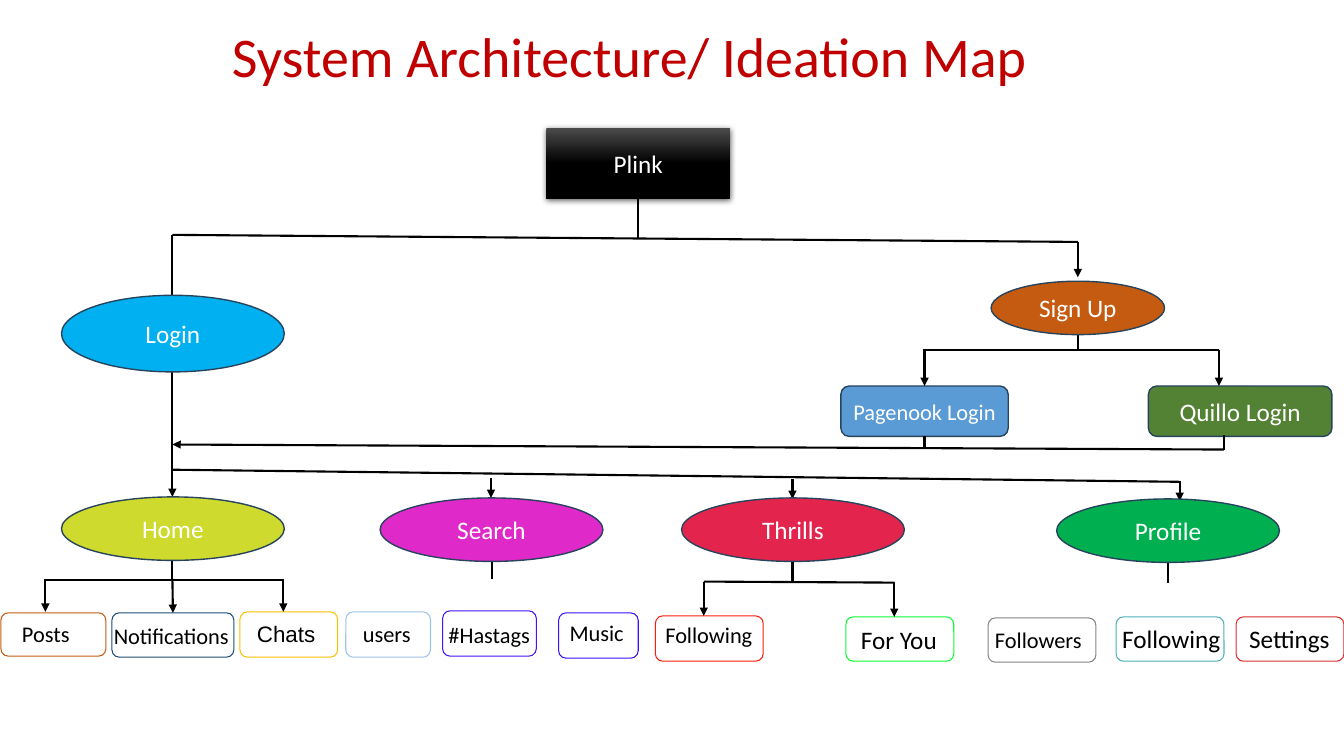
"""Build the system architecture map slide."""
import pptx
import pptx.dml.color
import pptx.enum.shapes
import pptx.enum.text
import pptx.oxml
import pptx.oxml.ns
import pptx.util

Inches = pptx.util.Inches
Pt = pptx.util.Pt
SHAPE = pptx.enum.shapes.MSO_SHAPE
ALIGN = pptx.enum.text.PP_ALIGN
ANCHOR = pptx.enum.text.MSO_ANCHOR
FIT = pptx.enum.text.MSO_AUTO_SIZE

COLORS = {
    "title": "C00000", "black": "000000", "white": "FFFFFF", "gray": "4B4B4B",
    "edge": "28445D", "sky": "00B0F0", "rust": "C55A11", "blue": "5B9BD5",
    "moss": "548235", "lime": "CEDA2E", "pink": "DF29C9", "rose": "E3254E",
    "green": "00B050", "navy": "1F4E79", "gold": "FFC000", "pale": "9DC3E6",
    "violet": "4312F6", "indigo": "3B0EFA", "red": "FC1D0C", "neon": "0CFC34",
    "ash": "848484", "teal": "4EB0BA", "brick": "DA2E2E",
}
TITLE = "System Architecture/ Ideation Map"
ROOT = ("Plink", 18, "black", (5.42, 1.27, 1.82, 0.7))
LOGINS = [
    ("Pagenook Login", 16, "blue", (8.34, 3.83, 1.66, 0.5)),
    ("Quillo Login", 18, "moss", (11.39, 3.83, 1.82, 0.5)),
]
OVALS = [
    ("Sign Up", 18, "rust", (9.83, 2.79, 1.72, 0.53)),
    ("Login", 18, "sky", (0.61, 2.93, 2.21, 0.76)),
    ("Home", 18, "lime", (0.61, 4.93, 2.21, 0.63)),
    ("Search", 18, "pink", (3.77, 4.94, 2.21, 0.63)),
    ("Thrills", 18, "rose", (6.76, 4.94, 2.21, 0.63)),
    ("Profile", 18, "green", (10.48, 4.95, 2.21, 0.63)),
]
LEAVES = [
    ("Posts", 16, "Calibri", "rust", (0.01, 6.08, 1.04, 0.43), (0.12, 6.1, 1.04)),
    ("Notifications", 16, "Calibri", "navy", (1.11, 6.08, 1.21, 0.44), (1.03, 6.12, 1.38)),
    ("Chats", 16, "Arial", "gold", (2.38, 6.07, 0.97, 0.45), (2.45, 6.1, 0.83)),
    ("users", 16, "Calibri", "pale", (3.43, 6.07, 0.84, 0.45), (3.5, 6.1, 0.69)),
    ("#Hastags", 16, "Calibri", "violet", (4.39, 6.06, 0.93, 0.45), (4.35, 6.11, 1.5)),
    ("Music", 16, "Calibri", "indigo", (5.54, 6.08, 0.79, 0.45), (5.55, 6.09, 0.78)),
    ("Following", 16, "Calibri", "red", (6.5, 6.11, 1.07, 0.45), (6.5, 6.11, 1.08)),
    ("For You", 18, "Calibri", "neon", (8.39, 6.12, 1.07, 0.44), (8.44, 6.14, 0.96)),
    ("Followers", 16, "Calibri", "ash", (9.8, 6.13, 1.07, 0.44), (9.77, 6.16, 1.08)),
    ("Following", 18, "Calibri", "teal", (11.07, 6.12, 1.07, 0.44), (11.03, 6.13, 1.19)),
    ("Settings", 18, "Calibri", "brick", (12.26, 6.12, 1.07, 0.44), (12.29, 6.13, 1.02)),
]
LINES = [
    (6.33, 1.97, 6.33, 2.37), (1.71, 2.33, 10.69, 2.4), (1.71, 2.33, 1.71, 2.75),
    (10.69, 3.32, 10.69, 3.48), (9.15, 3.47, 12.09, 3.47),
    (12.14, 4.32, 12.14, 4.46), (9.17, 4.33, 9.17, 4.44),
    (1.71, 4.66, 11.7, 4.78), (1.71, 5.55, 1.71, 5.75), (0.45, 5.75, 2.81, 5.75),
    (4.88, 5.57, 4.88, 5.74), (7.86, 5.57, 7.86, 5.76),
    (6.98, 5.77, 8.87, 5.78), (11.58, 5.58, 11.58, 5.78),
]
ARROWS = [
    (10.69, 2.4, 10.69, 2.75), (9.17, 3.48, 9.17, 3.84), (12.09, 3.47, 12.09, 3.83),
    (1.71, 2.56, 1.71, 4.93), (12.14, 4.46, 1.71, 4.41),
    (4.87, 4.74, 4.87, 4.94), (7.86, 4.75, 7.86, 4.95), (11.7, 4.77, 11.7, 4.97),
    (0.45, 5.74, 0.45, 6.07), (1.71, 5.74, 1.71, 6.07), (2.81, 5.74, 2.81, 6.07),
    (6.98, 5.77, 6.98, 6.11), (8.87, 5.77, 8.87, 6.12),
]
NEAR = Inches(0.02)


def tint(name):
    return pptx.dml.color.RGBColor.from_string(COLORS[name])


def style(para, size, color, align, face="Calibri"):
    para.alignment = align
    para.font.size = Pt(size)
    para.font.name = face
    para.font.color.rgb = tint(color)


def add_box(slide, kind, place, edge, width):
    box = slide.shapes.add_shape(kind, *map(Inches, place))
    box.shadow.inherit = False
    box.fill.background()
    box.line.color.rgb = tint(edge)
    box.line.width = Pt(width)
    return box


def add_node(slide, kind, text, size, color, place):
    node = add_box(slide, kind, place, "edge", 1)
    node.fill.solid()
    node.fill.fore_color.rgb = tint(color)
    frame = node.text_frame
    frame.vertical_anchor = ANCHOR.MIDDLE
    frame.text = text
    style(frame.paragraphs[0], size, "white", ALIGN.CENTER)
    return node


def add_root(slide):
    root = add_node(slide, SHAPE.RECTANGLE, *ROOT)
    root.line.fill.background()
    root.fill.gradient()
    root.fill.gradient_angle = 270
    for stop, color, spot in zip(root.fill.gradient_stops, ("gray", "black"), (0, 0.5)):
        stop.color.rgb = tint(color)
        stop.position = spot
    effect = root._element.spPr.find(pptx.oxml.ns.qn("a:effectLst"))
    effect.append(pptx.oxml.parse_xml(
        f'<a:outerShdw {pptx.oxml.ns.nsdecls("a")} blurRad="{Pt(4.5)}" dist="{Pt(1.5)}" '
        'dir="5400000" algn="ctr" rotWithShape="0">'
        f'<a:srgbClr val="{COLORS["black"]}"><a:alpha val="63000"/></a:srgbClr></a:outerShdw>'))
    return root


def find_side(boxes, x, y):
    for box in boxes:
        mid = box.left + box.width // 2
        for side, edge in ((0, box.top), (2, box.top + box.height)):
            if abs(mid - Inches(x)) <= NEAR and abs(edge - Inches(y)) <= NEAR:
                return box, side
    return None


def add_line(slide, boxes, ends, arrow):
    line = slide.shapes.add_connector(
        pptx.enum.shapes.MSO_CONNECTOR.STRAIGHT, *map(Inches, ends))
    line.line.color.rgb = tint("black")
    line.line.width = Pt(1.5)
    if arrow:
        pptx.oxml.ns.qn("a:ln")
        line.line._get_or_add_ln().append(pptx.oxml.parse_xml(
            f'<a:tailEnd {pptx.oxml.ns.nsdecls("a")} type="triangle"/>'))
    line._element.spPr.append(pptx.oxml.parse_xml(
        f'<a:effectLst {pptx.oxml.ns.nsdecls("a")}/>'))
    for join, spot in ((line.begin_connect, ends[:2]), (line.end_connect, ends[2:])):
        found = find_side(boxes, *spot)
        if found:
            join(*found)


def add_label(slide, text, size, face, place):
    label = slide.shapes.add_textbox(*map(Inches, place), Inches(0.37 if size == 16 else 0.4))
    frame = label.text_frame
    frame.word_wrap = True
    frame.auto_size = FIT.SHAPE_TO_FIT_TEXT
    frame.text = text
    style(frame.paragraphs[0], size, "black", ALIGN.LEFT, face)


def add_title(slide):
    title = slide.shapes.title
    title.left, title.top, title.width, title.height = map(Inches, (2.2, 0.24, 8.62, 1.4))
    frame = title.text_frame
    frame.text = TITLE
    frame.vertical_anchor = ANCHOR.TOP
    frame.auto_size = FIT.NONE
    frame.paragraphs[0].line_spacing = 0.9
    style(frame.paragraphs[0], 40, "title", ALIGN.LEFT)


def main():
    deck = pptx.Presentation()
    deck.slide_width, deck.slide_height = Inches(13.33), Inches(7.5)
    slide = deck.slides.add_slide(deck.slide_layouts[5])
    add_title(slide)
    boxes = [add_root(slide)]
    boxes += [add_node(slide, SHAPE.ROUNDED_RECTANGLE, *login) for login in LOGINS]
    boxes += [add_box(slide, SHAPE.ROUNDED_RECTANGLE, place, color, 0.75)
              for _, _, _, color, place, _ in LEAVES]
    for group, arrow in ((LINES, False), (ARROWS, True)):
        for ends in group:
            add_line(slide, boxes, ends, arrow)
    for oval in OVALS:
        add_node(slide, SHAPE.OVAL, *oval)
    for text, size, face, _, _, place in LEAVES:
        add_label(slide, text, size, face, place)
    deck.save("out.pptx")


if __name__ == "__main__":
    main()
